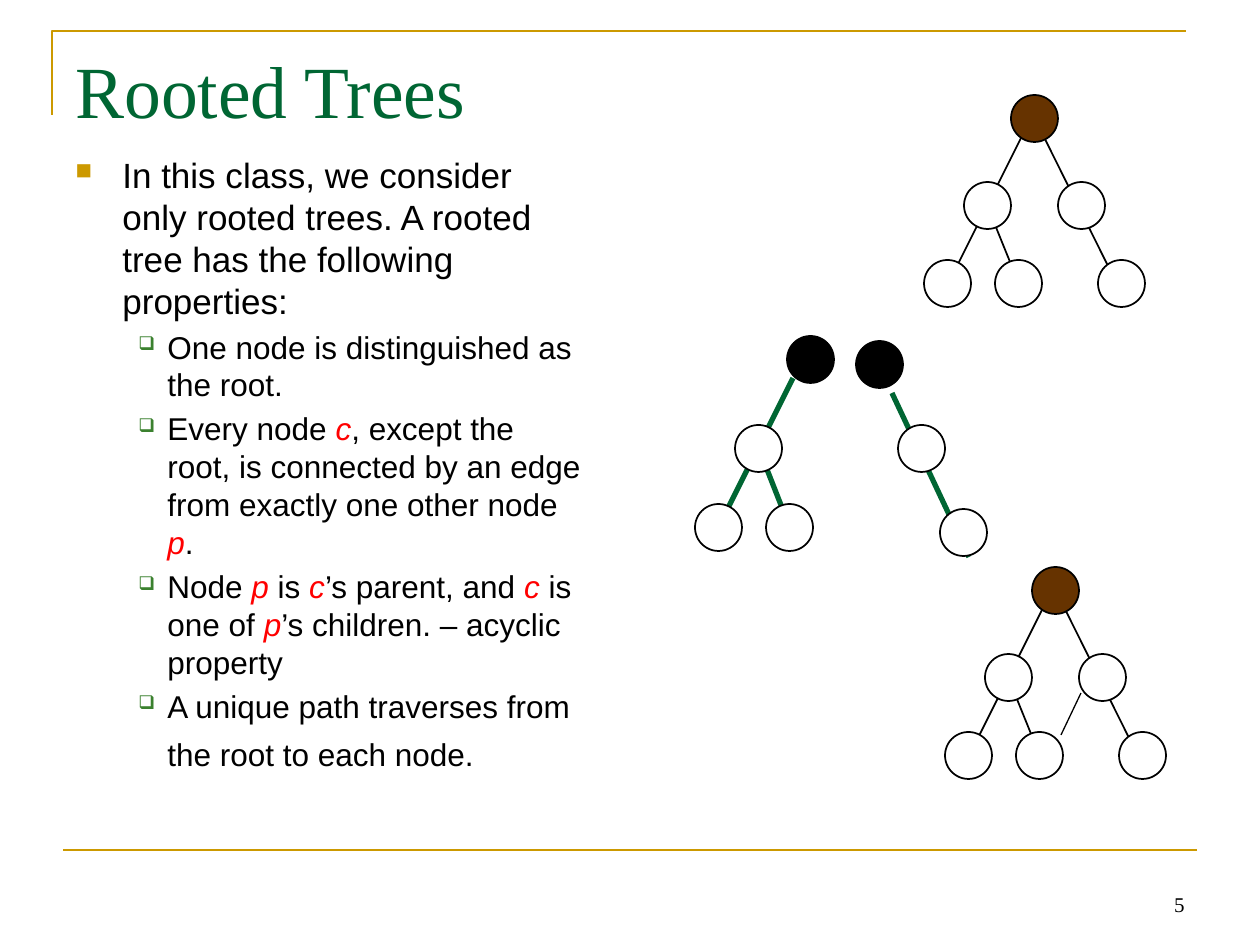
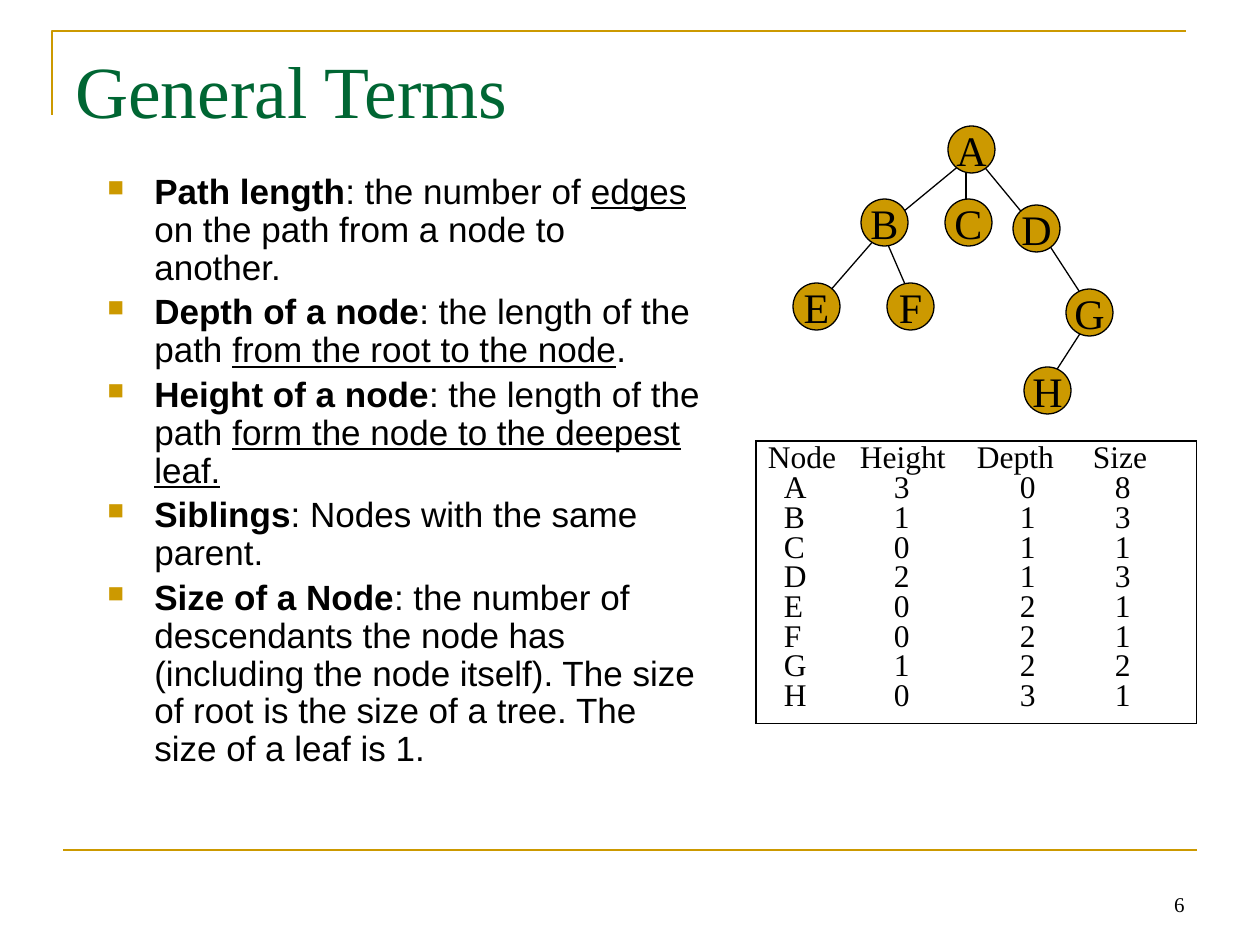
import pptx
import pptx.util
import pptx.dml.color
import pptx.enum.shapes
import pptx.enum.text
import pptx.oxml
import pptx.oxml.ns
from dataclasses import dataclass
from lxml import etree

PX = 914400 / 126  # EMU in one px
NODE = 47          # diameter of a tree node


@dataclass(frozen=True)
class Theme:
    gold: str = "CC9900"
    green: str = "006633"
    leaf: str = "3B812F"
    brown: str = "663300"
    red: str = "FF0000"
    black: str = "000000"
    white: str = "FFFFFF"
    serif: str = "Times New Roman"
    sans: str = "Arial"
    bullets: str = "Wingdings"
    title: int = 42
    label: int = 24
    body: int = 20
    detail: int = 18
    number: int = 12


theme = Theme()
rgb = pptx.dml.color.RGBColor.from_string
Pt = pptx.util.Pt
qn = pptx.oxml.ns.qn
ANCHOR = pptx.enum.text.MSO_ANCHOR
ALIGN = pptx.enum.text.PP_ALIGN


def write(frame, text, size, font, color, align=ALIGN.LEFT):
    frame.text = text
    frame.word_wrap = True
    line = frame.paragraphs[0]
    line.alignment = align
    style = line.runs[0].font
    style.size, style.name, style.color.rgb = Pt(size), font, rgb(color)


def draw_graph(slide, edges, nodes=(), color=theme.black, weight=1.0, origin=(0, 0), outline=1.0):
    dx, dy = origin
    for x1, y1, x2, y2 in edges:
        ends = [round(v * PX) for v in (x1 + dx, y1 + dy, x2 + dx, y2 + dy)]
        edge = slide.shapes.add_connector(pptx.enum.shapes.MSO_CONNECTOR.STRAIGHT, *ends)
        edge.line.color.rgb, edge.line.width = rgb(color), Pt(weight)
        etree.SubElement(edge._element.spPr, qn("a:effectLst"))
    for x, y, fill, label in nodes:
        box = [round(v * PX) for v in (x + dx, y + dy, NODE, NODE)]
        node = slide.shapes.add_shape(pptx.enum.shapes.MSO_SHAPE.OVAL, *box)
        node.shadow.inherit = False
        node.fill.solid()
        node.fill.fore_color.rgb = rgb(fill)
        node.line.color.rgb, node.line.width = rgb(theme.black), Pt(outline)
        if label:
            frame = node.text_frame
            write(frame, label, theme.label, theme.serif, theme.black, ALIGN.CENTER)
            frame.word_wrap = False
            frame.vertical_anchor = ANCHOR.MIDDLE


# Wording: each paragraph is a level and its runs; i = red italic, b = bold, u = underlined
rooted_points = [
    (0, [("In this class, we consider only rooted trees. A rooted tree has the following properties:", "")]),
    (1, [("One node is distinguished as the root.", "")]),
    (1, [("Every node ", ""), ("c", "i"),
         (", except the root, is connected by an edge from exactly one other node ", ""),
         ("p", "i"), (".", "")]),
    (1, [("Node", ""), (" p", "i"), (" is ", ""), ("c", "i"), ("’s parent, and ", ""), ("c", "i"),
         (" is one of ", ""), ("p", "i"), ("’s children. – acyclic property", "")]),
    (1, [("A unique path traverses from the root to each node.", ""), (" ", "large")]),
]
term_points = [
    (0, [("Path length", "b"), (": the number of ", ""), ("edges", "u"),
         (" on the path from a node to another.", "")]),
    (0, [("Depth of a node", "b"), (": the length of the path ", ""),
         ("from the root to the node", "u"), (".", "")]),
    (0, [("Height of a node", "b"), (": the length of the path ", ""),
         ("form the node to the deepest leaf.", "u")]),
    (0, [("Siblings", "b"), (": Nodes with the same parent.", "")]),
    (0, [("Size of a Node", "b"),
         (": the number of descendants the node has (including the node itself). "
          "The size of root is the size of a tree. The size of a leaf is 1.", "")]),
]
pages = [
    ("Rooted Trees", 5, (63, 147, 533, 651), 1.0, rooted_points),
    ("General Terms", 6, (95, 168, 618, 624), 0.9, term_points),
]
# Per level: text size, left margin, hanging indent, bullet (n = square, q = box), colour, percent
levels = [
    (theme.body, 47, -47, "n", theme.gold, 65),
    (theme.detail, 92, -29, "q", theme.leaf, 60),
]

deck = pptx.Presentation()
deck.slide_width, deck.slide_height = round(1260 * PX), round(945 * PX)

# Frame, title, page number and bullet list of each slide
for heading, number, body_box, spacing, points in pages:
    slide = deck.slides.add_slide(deck.slide_layouts[6])
    outline = slide.shapes.build_freeform(52, 115, scale=PX)
    outline.add_line_segments([(52, 31), (1186, 31)], close=False)
    bracket = outline.convert_to_shape()
    bracket.shadow.inherit = False
    bracket.fill.background()
    bracket.line.color.rgb, bracket.line.width = rgb(theme.gold), Pt(1.5)
    draw_graph(slide, [(63, 850, 1197, 850)], color=theme.gold, weight=1.5)

    page_number = slide.shapes.add_textbox(*[round(v * PX) for v in (903, 860, 294, 63)])
    write(page_number.text_frame, str(number), theme.number, theme.serif, theme.black, ALIGN.RIGHT)
    page_number.text_frame.vertical_anchor = ANCHOR.BOTTOM
    title = slide.shapes.add_textbox(*[round(v * PX) for v in (63, 39, 1134, 158)])
    write(title.text_frame, heading, theme.title, theme.serif, theme.green)

    body = slide.shapes.add_textbox(*[round(v * PX) for v in body_box]).text_frame
    body.word_wrap = True
    for index, (level, runs) in enumerate(points):
        size, margin, indent, bullet, bullet_color, percent = levels[level]
        point = body.add_paragraph() if index else body.paragraphs[0]
        point.level = level
        point.line_spacing = spacing
        point.space_before = Pt(size * 0.2)
        properties = point._p.get_or_add_pPr()
        properties.set("marL", str(round(margin * PX)))
        properties.set("indent", str(round(indent * PX)))
        tint = etree.SubElement(properties, qn("a:buClr"))
        etree.SubElement(tint, qn("a:srgbClr"), val=bullet_color)
        etree.SubElement(properties, qn("a:buSzPct"), val=str(percent * 1000))
        etree.SubElement(properties, qn("a:buFont"), typeface=theme.bullets, charset="2")
        etree.SubElement(properties, qn("a:buChar"), char=bullet)
        for words, style in runs:
            run = point.add_run()
            run.text = words
            run.font.name = theme.sans
            run.font.size = Pt(theme.label if style == "large" else size)
            run.font.color.rgb = rgb(theme.red if style == "i" else theme.black)
            run.font.italic = style == "i"
            run.font.bold = style == "b"
            run.font.underline = style == "u"

rooted_slide, terms_slide = deck.slides

# Rooted Trees: a valid tree on top, the same tree with an extra edge below
tree_edges = [(16, 31, -63, 189), (-24, 110, 8, 189), (24, 24, 110, 197)]
tree_nodes = [(0, 0, theme.brown, "")] + [
    (x, y, theme.white, "") for x, y in [(-47, 87), (47, 87), (-87, 165), (-16, 165), (87, 165)]]
draw_graph(rooted_slide, tree_edges, tree_nodes, origin=(1011, 95))

# Two separate trees in the middle
split_edges = [(793, 378, 714, 536), (759, 449, 790, 528), (892, 393, 969, 557)]
split_nodes = [(x, y, theme.black, "") for x, y in [(787, 336), (856, 341)]] + [
    (x, y, theme.white, "") for x, y in [(735, 425), (898, 425), (695, 504), (766, 504), (940, 509)]]
draw_graph(rooted_slide, split_edges, split_nodes, theme.green, 3)

draw_graph(rooted_slide, tree_edges, tree_nodes, origin=(1032, 567))
draw_graph(rooted_slide, [(1081, 693, 1061, 735)], weight=0.75)

# General Terms: lettered tree
letter_edges = [
    (966, 147, 966, 231), (1092, 315, 1045, 388), (1040, 231, 1081, 294), (882, 231, 809, 315),
    (882, 231, 914, 305), (966, 160, 892, 221), (977, 158, 1029, 221)]
letter_places = {
    "A": (948, 126), "B": (861, 199), "C": (945, 199), "D": (1013, 205),
    "E": (793, 283), "F": (887, 283), "G": (1066, 289), "H": (1024, 367)}
letter_nodes = [(x, y, theme.gold, letter) for letter, (x, y) in letter_places.items()]
draw_graph(terms_slide, letter_edges, letter_nodes, weight=0.75, outline=0.75)

# Height, depth and size of every node
measures = [
    ("Node", "Height", "Depth", "Size"),
    ("A", 3, 0, 8), ("B", 1, 1, 3), ("C", 0, 1, 1), ("D", 2, 1, 3),
    ("E", 0, 2, 1), ("F", 0, 2, 1), ("G", 1, 2, 2), ("H", 0, 3, 1)]
column_widths = [94, 116, 120, 111]
row_heights = [36] + [30, 30, 29] * 2 + [30, 39]
header_insets = [12, 10, 11, 7]
value_insets = [28, 44, 54, 29]
table_box = (756, 441, sum(column_widths), sum(row_heights))
grid = terms_slide.shapes.add_table(9, 4, *[round(v * PX) for v in table_box]).table
grid.first_row = grid.horz_banding = False
for column, width in zip(grid.columns, column_widths):
    column.width = round(width * PX)
for r, (row, height) in enumerate(zip(measures, row_heights)):
    grid.rows[r].height = round(height * PX)
    for c, value in enumerate(row):
        cell = grid.cell(r, c)
        write(cell.text_frame, str(value), theme.detail, theme.serif, theme.black)
        cell.text_frame.paragraphs[0].line_spacing = 0.7
        cell.margin_left = round((value_insets if r else header_insets)[c] * PX)
        cell.margin_top = round((2 if r else 8) * PX)
        cell.margin_right = cell.margin_bottom = 0
        cell.vertical_anchor = ANCHOR.TOP
        cell.fill.background()
        # Only the outer edge of the table is ruled
        sides = [("a:lnL", c == 0), ("a:lnR", c == 3), ("a:lnT", r == 0), ("a:lnB", r == 8)]
        for place, (side, ruled) in enumerate(sides):
            border = etree.Element(qn(side), w=str(Pt(0.75)))
            if ruled:
                paint = etree.SubElement(border, qn("a:solidFill"))
                etree.SubElement(paint, qn("a:srgbClr"), val=theme.black)
            else:
                etree.SubElement(border, qn("a:noFill"))
            cell._tc.get_or_add_tcPr().insert(place, border)

deck.save("out.pptx")
